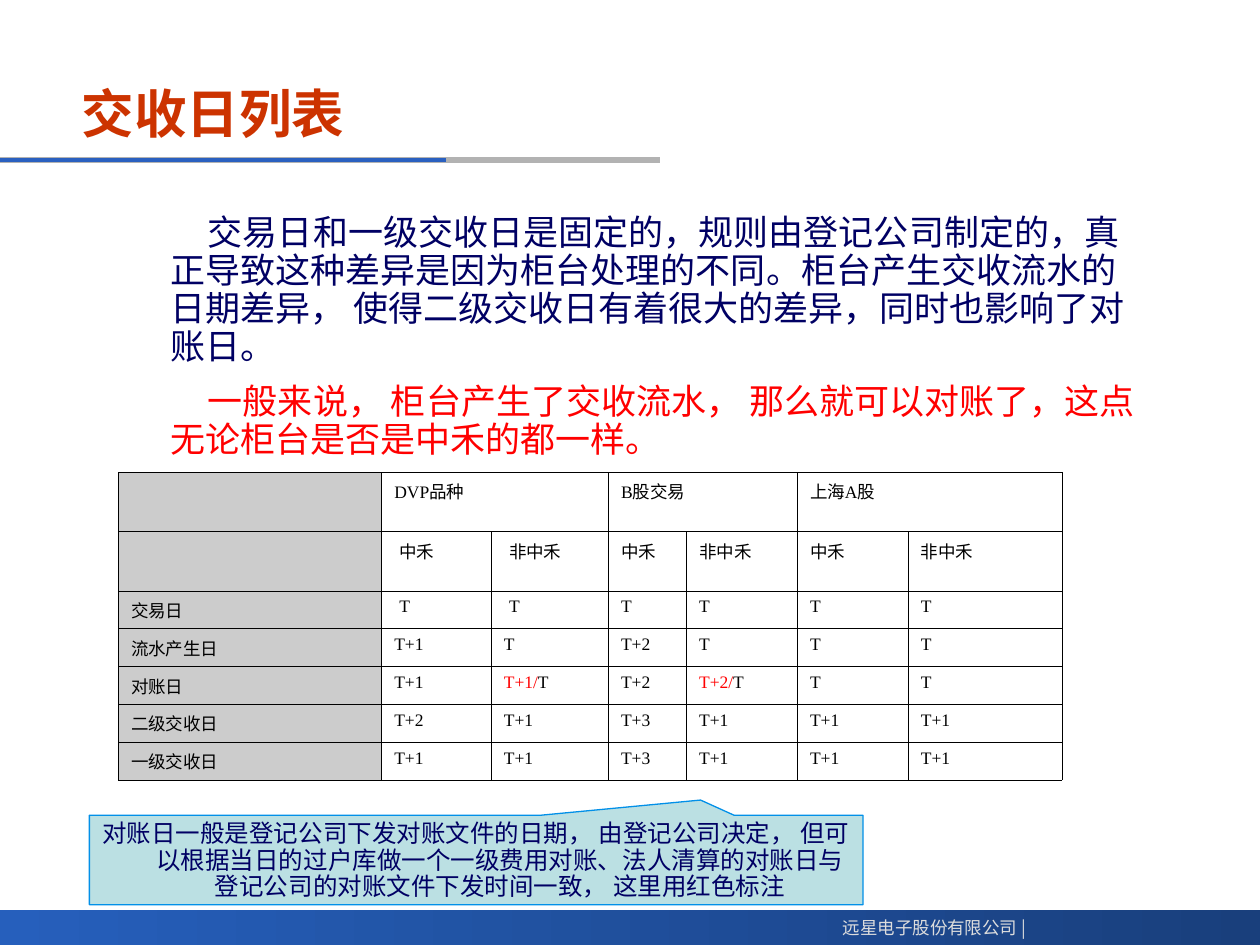
from dataclasses import dataclass
from itertools import product

from lxml import etree
from pptx import Presentation
from pptx import util as u
from pptx.dml.color import RGBColor
from pptx.enum import shapes, text
from pptx.oxml import ns


@dataclass(frozen=True)
class Theme:
    heading: str = "CC3300"
    ink: str = "000064"
    alert: str = "FF0000"
    cell_ink: str = "000000"
    footer_ink: str = "DDDDDD"
    label_fill: str = "CCCCCC"
    note_fill: str = "BBE0E3"
    note_line: str = "0290E8"
    rule: str = "2A60C0"
    rule_tail: str = "B2B2B2"
    band: tuple = ("193F7C", "265FBC")
    sans: str = "Arial"
    serif: str = "Times New Roman"
    cjk: str = "Noto Sans CJK SC"
    title_size: int = 30
    body_size: int = 20
    note_size: int = 14
    small_size: int = 10


def rgb(value):
    return RGBColor.from_string(value)


def write(frame, paragraphs, *, size, font, bold=False, align=text.PP_ALIGN.LEFT,
          anchor=text.MSO_ANCHOR.TOP, wrap=True, margin=0, indent=0,
          spacing=None, gap=0):
    frame.word_wrap = wrap
    frame.auto_size = text.MSO_AUTO_SIZE.NONE
    frame.vertical_anchor = anchor
    for number, runs in enumerate(paragraphs):
        paragraph = frame.add_paragraph() if number else frame.paragraphs[0]
        properties = paragraph._p.get_or_add_pPr()
        properties.set("marL", str(u.Inches(margin)))
        properties.set("indent", str(u.Inches(indent)))
        etree.SubElement(properties, ns.qn("a:buNone"))
        paragraph.alignment = align
        paragraph.line_spacing = spacing
        paragraph.space_before = u.Pt(gap if number else 0)
        paragraph.space_after = u.Pt(gap)
        for words, color in runs:
            run = paragraph.add_run()
            run.text = words
            run.font.size = u.Pt(size)
            run.font.name = font
            run.font.bold = bold
            run.font.color.rgb = rgb(color)


class Deck:
    COLUMNS, ROWS = 100, 75

    def __init__(self, theme):
        self.theme = theme
        self.file = Presentation()
        self.file.slide_width, self.file.slide_height = u.Inches(10), u.Inches(7.5)
        self.slide = self.file.slides.add_slide(self.file.slide_layouts[1])

    def x(self, columns):
        return round(self.file.slide_width * columns / self.COLUMNS)

    def y(self, rows):
        return round(self.file.slide_height * rows / self.ROWS)

    def box(self, left, top, width, height):
        return self.x(left), self.y(top), self.x(width), self.y(height)

    def placeholder(self, index, area, paragraphs, **style):
        holder = self.slide.placeholders[index]
        holder.left, holder.top, holder.width, holder.height = self.box(*area)
        write(holder.text_frame, paragraphs, **style)

    def shape(self, kind, area):
        shape = self.slide.shapes.add_shape(kind, *self.box(*area))
        shape.shadow.inherit = False
        return shape

    def band(self, area):
        band = self.shape(shapes.MSO_SHAPE.RECTANGLE, area)
        band.line.fill.background()
        band.fill.gradient()
        band.fill.gradient_angle = 180
        for stop, color in zip(band.fill.gradient_stops, self.theme.band):
            stop.color.rgb = rgb(color)

    def rule(self, end, row, color, weight):
        rule = self.slide.shapes.add_connector(
            shapes.MSO_CONNECTOR.STRAIGHT, 0, self.y(row), self.x(end), self.y(row))
        rule.line.color.rgb = rgb(color)
        rule.line.width = u.Pt(weight)
        etree.SubElement(rule._element.spPr, ns.qn("a:effectLst"))

    def label(self, area, paragraphs, **style):
        label = self.slide.shapes.add_textbox(*self.box(*area))
        write(label.text_frame, paragraphs, **style)

    def callout(self, area, tip, paragraphs, **style):
        note = self.shape(shapes.MSO_SHAPE.RECTANGULAR_CALLOUT, area)
        note.adjustments[0], note.adjustments[1] = tip
        note.fill.solid()
        note.fill.fore_color.rgb = rgb(self.theme.note_fill)
        note.line.color.rgb = rgb(self.theme.note_line)
        note.line.width = u.Pt(0.75)
        write(note.text_frame, paragraphs, **style)

    def border(self, cell):
        properties = cell._tc.get_or_add_tcPr()
        for side in ("lnL", "lnR", "lnT", "lnB"):
            line = etree.SubElement(properties, ns.qn(f"a:{side}"), w=str(u.Pt(0.45)))
            fill = etree.SubElement(line, ns.qn("a:solidFill"))
            etree.SubElement(fill, ns.qn("a:srgbClr"), val=self.theme.cell_ink)

    def table(self, left, top, widths, heights, records, merges, nudged):
        area = self.box(left, top, sum(widths), sum(heights))
        grid = self.slide.shapes.add_table(len(heights), len(widths), *area).table
        grid.first_row = grid.horz_banding = False
        for column, width in zip(grid.columns, widths):
            column.width = self.x(width)
        for row, height in zip(grid.rows, heights):
            row.height = self.y(height)
        for row, column in product(range(len(heights)), range(len(widths))):
            cell = grid.cell(row, column)
            self.border(cell)
            if column:
                cell.fill.background()
            else:
                cell.fill.solid()
                cell.fill.fore_color.rgb = rgb(self.theme.label_fill)
            entry = records[row][column]
            if entry:
                runs = entry if isinstance(entry, list) else [(entry, self.theme.cell_ink)]
                write(cell.text_frame, [runs], size=self.theme.small_size,
                      font=self.theme.serif,
                      margin=0.04 if (row, column) in nudged else 0)
        for row, column in merges:
            grid.cell(row, column).merge(grid.cell(row, column + 1))


def main():
    theme = Theme()
    deck = Deck(theme)
    deck.band((0, 72.2, 100, 2.8))
    deck.rule(52.4, 12.7, theme.rule_tail, 3)
    deck.rule(35.4, 12.7, theme.rule, 2.25)
    deck.label((65.3, 72.3, 17.1, 2.7), [[("远星电子股份有限公司 |", theme.footer_ink)]],
               size=theme.small_size, font=theme.cjk,
               align=text.PP_ALIGN.RIGHT, wrap=False)
    deck.placeholder(0, (5.5, 5.6, 69.2, 6.7), [[("交收日列表", theme.heading)]],
                     size=theme.title_size, font=theme.sans, bold=True,
                     anchor=text.MSO_ANCHOR.MIDDLE)

    cause = ("交易日和一级交收日是固定的，规则由登记公司制定的，真正导致这种差异是因为"
             "柜台处理的不同。柜台产生交收流水的日期差异， 使得二级交收日有着很大的差异，"
             "同时也影响了对账日。")
    conclusion = ("一般来说， 柜台产生了交收流水， 那么就可以对账了，"
                  "这点无论柜台是否是中禾的都一样。")
    deck.placeholder(1, (8.7, 16.6, 83.5, 21.6),
                     [[(cause, theme.ink)], [(conclusion, theme.alert)]],
                     size=theme.body_size, font=theme.sans,
                     margin=0.38, indent=0.3, spacing=0.9, gap=5)

    def corrected(early):
        return [(early, theme.alert), ("T", theme.cell_ink)]

    settlement_days = [
        ["", "DVP品种", "", "B股交易", "", "上海A股", ""],
        [""] + ["中禾", "非中禾"] * 3,
        ["交易日"] + ["T"] * 6,
        ["流水产生日", "T+1", "T", "T+2", "T", "T", "T"],
        ["对账日", "T+1", corrected("T+1/"), "T+2", corrected("T+2/"), "T", "T"],
        ["二级交收日", "T+2", "T+1", "T+3", "T+1", "T+1", "T+1"],
        ["一级交收日", "T+1", "T+1", "T+3", "T+1", "T+1", "T+1"],
    ]
    deck.table(9.4, 37.5, [20.9, 8.7, 9.3, 6.2, 8.8, 8.8, 12.2],
               [4.7] * 2 + [3] * 5, settlement_days,
               merges=[(0, 1), (0, 3), (0, 5)],
               nudged=set(product((1, 2), (1, 2))))

    reminder = ("对账日一般是登记公司下发对账文件的日期， 由登记公司决定， 但可以根据当日的"
                "过户库做一个一级费用对账、法人清算的对账日与登记公司的对账文件下发时间一致， "
                "这里用红色标注")
    deck.callout((7.1, 64.7, 61.4, 7.1), (0.29, -0.67), [[(reminder, theme.ink)]],
                 size=theme.note_size, font=theme.sans, align=text.PP_ALIGN.CENTER,
                 margin=0.38, indent=-0.38, spacing=0.9, gap=3.5)
    deck.file.save("out.pptx")


if __name__ == "__main__":
    main()
